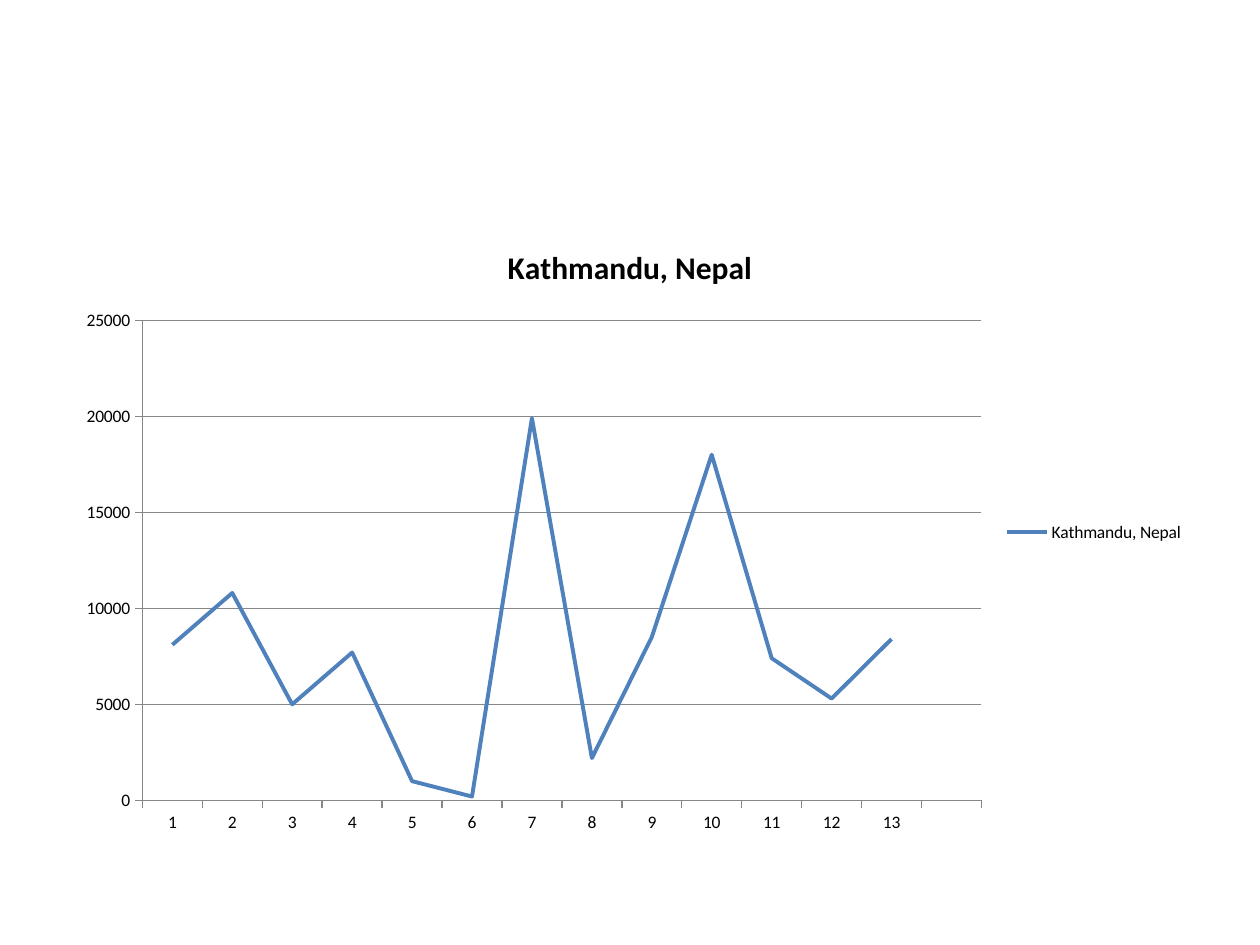
from dataclasses import dataclass

from lxml import etree
from pptx import Presentation
from pptx.chart.data import CategoryChartData
from pptx.dml.color import RGBColor
from pptx.enum.chart import XL_CHART_TYPE as ChartType
from pptx.enum.chart import XL_LEGEND_POSITION as LegendPosition
from pptx.enum.chart import XL_MARKER_STYLE as MarkerStyle
from pptx.enum.chart import XL_TICK_MARK as TickMark
from pptx.oxml.ns import qn
from pptx.util import Inches, Pt


@dataclass(frozen=True)
class Theme:
    font: str = "Calibri"
    text: RGBColor = RGBColor(0x00, 0x00, 0x00)
    axis: RGBColor = RGBColor(0x87, 0x87, 0x87)
    series: RGBColor = RGBColor(0x4F, 0x81, 0xBD)
    title_size: Pt = Pt(18)
    label_size: Pt = Pt(10)
    axis_width: Pt = Pt(0.75)
    series_width: Pt = Pt(2.25)


class SlideBuilder:
    def __init__(self, slide, theme):
        self.slide = slide
        self.theme = theme

    def style_font(self, font, size, bold=False):
        font.name = self.theme.font
        font.size = size
        font.bold = bold
        font.color.rgb = self.theme.text

    def style_line(self, line, color, width):
        line.color.rgb = color
        line.width = width

    def line_chart(self, title, categories, values, left, top, width, height):
        theme = self.theme
        data = CategoryChartData(number_format="0")
        data.categories = categories
        data.add_series(title, values)
        chart = self.slide.shapes.add_chart(
            ChartType.LINE, left, top, width, height, data
        ).chart
        self.style_font(chart.font, theme.label_size)

        # Title and legend
        chart.has_title = True
        frame = chart.chart_title.text_frame
        frame.text = title
        self.style_font(frame.paragraphs[0].font, theme.title_size, bold=True)
        chart.has_legend = True
        chart.legend.position = LegendPosition.RIGHT
        chart.legend.include_in_layout = False

        # Series line
        plot = chart.plots[0]
        plot.vary_by_categories = False
        series = plot.series[0]
        series.smooth = False
        series.marker.style = MarkerStyle.NONE
        self.style_line(series.format.line, theme.series, theme.series_width)

        # Axes and gridlines
        for axis in (chart.category_axis, chart.value_axis):
            axis.major_tick_mark = TickMark.OUTSIDE
            axis.minor_tick_mark = TickMark.NONE
            self.style_line(axis.format.line, theme.axis, theme.axis_width)
        value_axis = chart.value_axis
        value_axis.minimum_scale = 0
        value_axis.maximum_scale = 25000
        value_axis.major_unit = 5000
        value_axis.has_major_gridlines = True
        self.style_line(
            value_axis.major_gridlines.format.line, theme.axis, theme.axis_width
        )
        value_axis.tick_labels.number_format = "0"
        value_axis.tick_labels.number_format_is_linked = False
        return chart

    def place_plot(self, chart, x, y, w, h):
        """Set the inner plot area, in fractions of the chart."""
        plot_area = chart.element.find(".//" + qn("c:plotArea"))
        for old_layout in plot_area.findall(qn("c:layout")):
            plot_area.remove(old_layout)
        layout = etree.Element(qn("c:layout"))
        manual = etree.SubElement(layout, qn("c:manualLayout"))
        settings = dict(
            layoutTarget="inner", xMode="edge", yMode="edge", x=x, y=y, w=w, h=h
        )
        for name, value in settings.items():
            etree.SubElement(manual, qn("c:" + name), val=str(value))
        plot_area.insert(0, layout)


def main():
    presentation = Presentation()
    presentation.slide_width = Inches(10)
    presentation.slide_height = Inches(7.5)
    blank_layout = presentation.slide_layouts[6]
    builder = SlideBuilder(presentation.slides.add_slide(blank_layout), Theme())

    # The last position on the axis has neither label nor value
    categories = [str(number) for number in range(1, 14)] + [""]
    values = [8100, 10800, 5000, 7700, 1000, 200, 19900,
              2200, 8500, 18000, 7400, 5300, 8400, None]
    chart = builder.line_chart(
        "Kathmandu, Nepal", categories, values,
        Inches(0.5), Inches(1.75), Inches(9), Inches(4.95),
    )
    builder.place_plot(chart, x=0.07, y=0.16, w=0.74, h=0.77)

    presentation.save("out.pptx")


if __name__ == "__main__":
    main()
